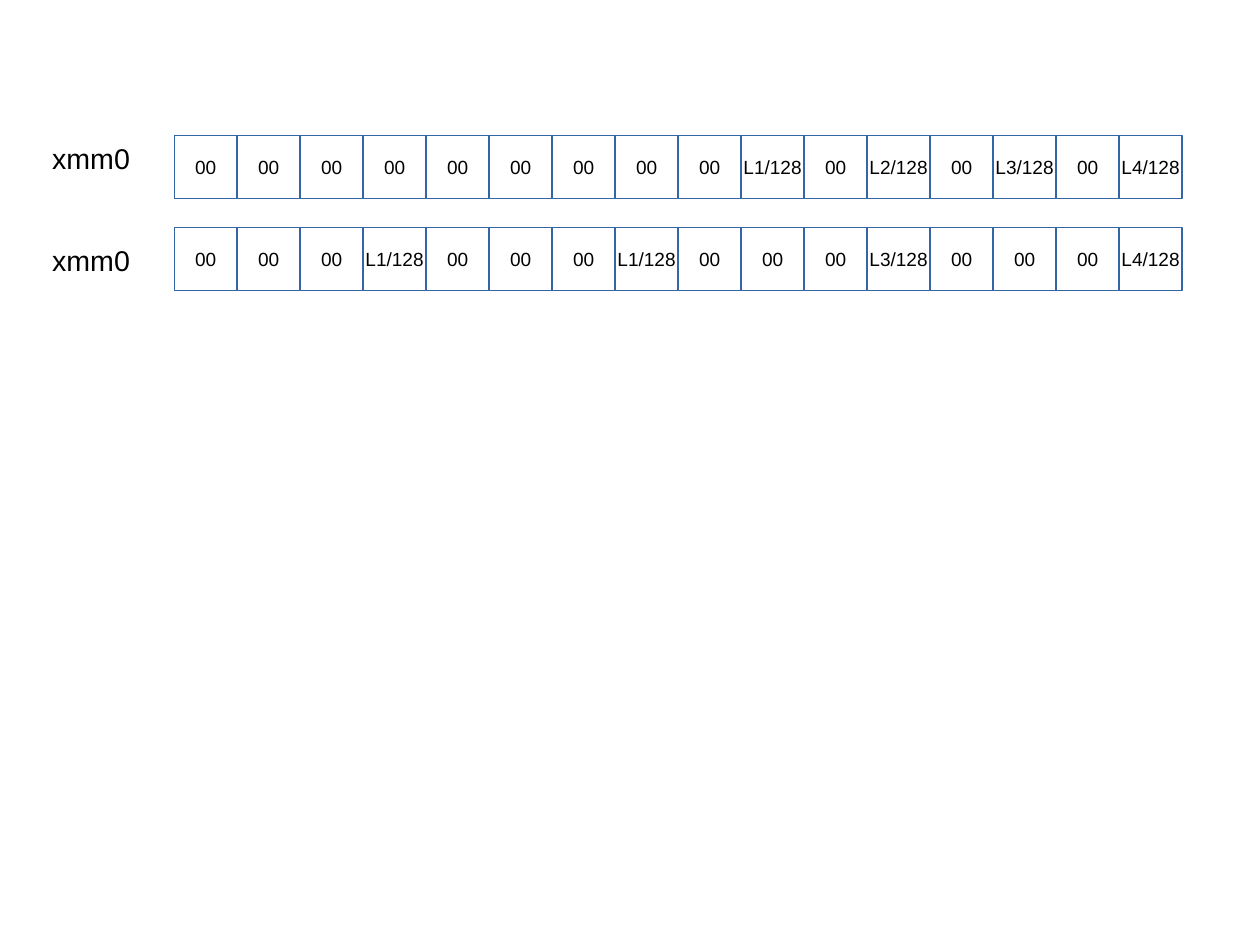
from dataclasses import dataclass

from pptx import Presentation
from pptx.dml.color import RGBColor
from pptx.enum.shapes import MSO_SHAPE
from pptx.enum.text import MSO_ANCHOR, MSO_AUTO_SIZE, PP_ALIGN
from pptx.util import Inches, Pt


@dataclass(frozen=True)
class Theme:
    font: str = "Arial"
    text: RGBColor = RGBColor(0x00, 0x00, 0x00)
    cell_fill: RGBColor = RGBColor(0xFF, 0xFF, 0xFF)
    cell_line: RGBColor = RGBColor(0x34, 0x65, 0xA4)
    hairline: Pt = Pt(0)
    cell_size: Pt = Pt(12)
    label_size: Pt = Pt(18)


theme = Theme()


def metric(cm):
    """Turn centimetres, the unit of the layout grid, into a length."""
    return Inches(cm / 2.54)


def write(s, text, size, align):
    tf = s.text_frame
    tf.word_wrap = False
    tf.text = text
    p = tf.paragraphs[0]
    p.alignment = align
    r = p.runs[0]
    r.font.name = theme.font
    r.font.size = size
    r.font.color.rgb = theme.text
    return tf


prs = Presentation()
prs.slide_width = metric(28)
prs.slide_height = metric(21)
slide = prs.slides.add_slide(prs.slide_layouts[6])

BYTES = 16
LEFT = 3.87
CELL = 1.4

# Register name, label top, cell top, values by byte position
registers = [
    ("xmm0", 3.01, 3.01, {9: "L1/128", 11: "L2/128", 13: "L3/128", 15: "L4/128"}),
    ("xmm0", 5.27, 5.05, {3: "L1/128", 7: "L1/128", 11: "L3/128", 15: "L4/128"}),
]

for name, label_top, cell_top, values in registers:
    for i in range(BYTES):
        s = slide.shapes.add_shape(
            MSO_SHAPE.RECTANGLE,
            metric(LEFT + i * CELL), metric(cell_top), metric(CELL), metric(CELL),
        )
        s.shadow.inherit = False
        s.fill.solid()
        s.fill.fore_color.rgb = theme.cell_fill
        s.line.color.rgb = theme.cell_line
        s.line.width = theme.hairline
        tf = write(s, values.get(i, "00"), theme.cell_size, PP_ALIGN.CENTER)
        tf.vertical_anchor = MSO_ANCHOR.MIDDLE

    label = slide.shapes.add_textbox(
        metric(0.91), metric(label_top), metric(2.23), metric(0.96)
    )
    tf = write(label, name, theme.label_size, PP_ALIGN.LEFT)
    tf.auto_size = MSO_AUTO_SIZE.SHAPE_TO_FIT_TEXT

prs.save("out.pptx")
